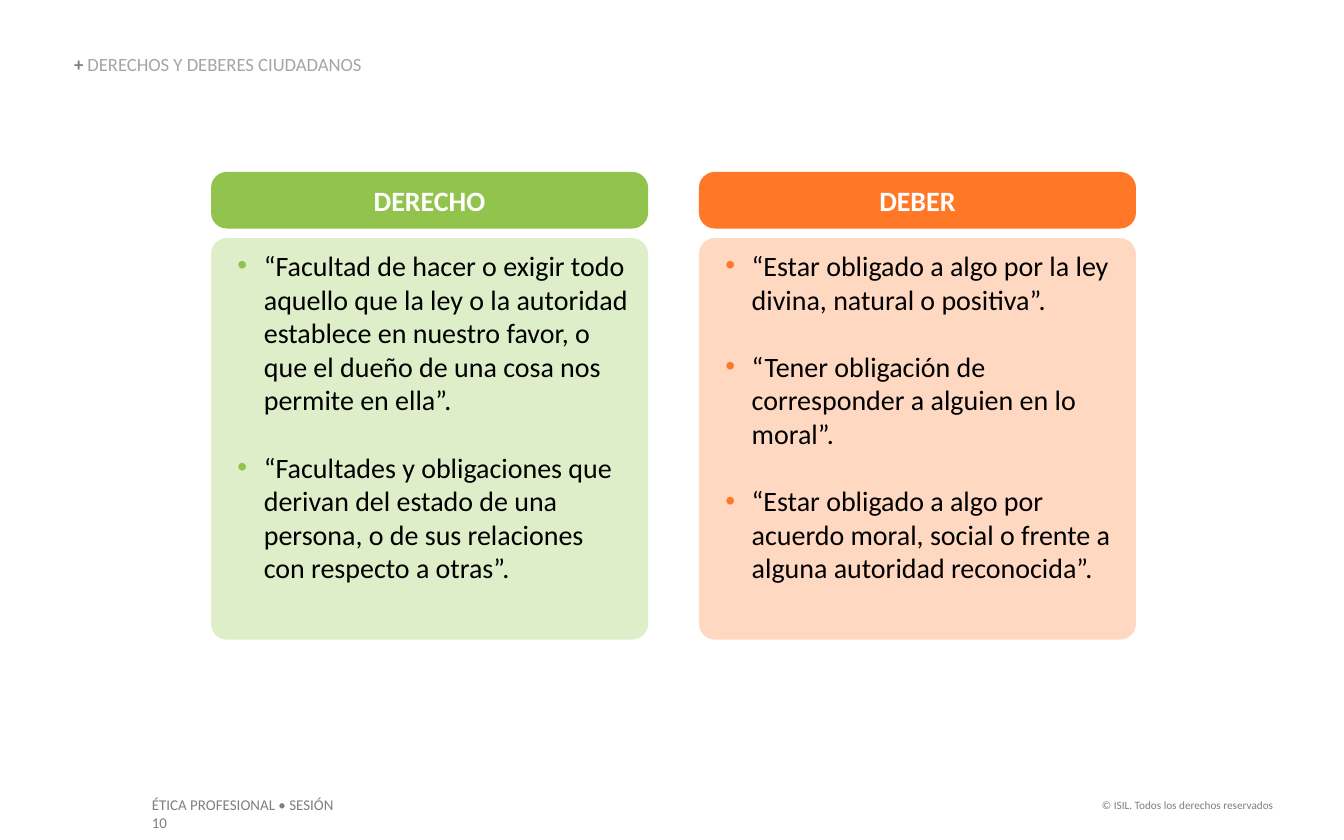
import pptx
import pptx.dml.color
import pptx.enum.shapes
import pptx.enum.text
import pptx.oxml.ns
import pptx.util
from lxml import etree

Cm = pptx.util.Cm
Pt = pptx.util.Pt
RGBColor = pptx.dml.color.RGBColor
ALIGN = pptx.enum.text.PP_ALIGN
ANCHOR = pptx.enum.text.MSO_ANCHOR
qn = pptx.oxml.ns.qn

FONT = "Calibri"
WHITE = RGBColor(0xFF, 0xFF, 0xFF)
BLACK = RGBColor(0, 0, 0)
GRAY = RGBColor(0x7F, 0x7F, 0x7F)
LIGHT_GRAY = RGBColor(0xA5, 0xA5, 0xA5)
GREEN = RGBColor(0x92, 0xC3, 0x4D)
PALE_GREEN = RGBColor(0xDD, 0xEE, 0xC8)
ORANGE = RGBColor(0xFF, 0x78, 0x28)
PALE_ORANGE = RGBColor(0xFF, 0xD8, 0xC2)

COLUMNS = [
    ("DERECHO", GREEN, PALE_GREEN, [
        "“Facultad de hacer o exigir todo aquello que la ley o la autoridad "
        "establece en nuestro favor, o que el dueño de una cosa nos permite en ella”.",
        "“Facultades y obligaciones que derivan del estado de una persona, "
        "o de sus relaciones con respecto a otras”.",
    ]),
    ("DEBER", ORANGE, PALE_ORANGE, [
        "“Estar obligado a algo por la ley divina, natural o positiva”.",
        "“Tener obligación de corresponder a alguien en lo moral”.",
        "“Estar obligado a algo por acuerdo moral, social o frente a "
        "alguna autoridad reconocida”.",
    ]),
]


def format_run(run, size, color, bold=False):
    run.font.name = FONT
    run.font.size = Pt(size)
    run.font.bold = bold
    run.font.color.rgb = color


def set_insets(frame, left, top, right, bottom):
    frame.margin_left = Cm(left)
    frame.margin_top = Cm(top)
    frame.margin_right = Cm(right)
    frame.margin_bottom = Cm(bottom)


def add_text_frame(slide, left, top, width, height):
    box = slide.shapes.add_textbox(Cm(left), Cm(top), Cm(width), Cm(height))
    box.text_frame.word_wrap = True
    return box.text_frame


def add_panel(slide, left, top, width, height, fill, rounding):
    panel = slide.shapes.add_shape(
        pptx.enum.shapes.MSO_SHAPE.ROUNDED_RECTANGLE,
        Cm(left), Cm(top), Cm(width), Cm(height))
    panel.adjustments[0] = rounding
    panel.shadow.inherit = False
    panel.fill.solid()
    panel.fill.fore_color.rgb = fill
    panel.line.fill.background()
    panel.text_frame.word_wrap = True
    return panel.text_frame


def add_bullet(paragraph, color):
    properties = paragraph._p.get_or_add_pPr()
    properties.set("marL", str(Cm(0.5)))
    properties.set("indent", str(-Cm(0.5)))
    bullet_color = etree.SubElement(properties, qn("a:buClr"))
    etree.SubElement(bullet_color, qn("a:srgbClr"), val=str(color))
    etree.SubElement(properties, qn("a:buFont"), typeface="Arial")
    etree.SubElement(properties, qn("a:buChar"), char="•")


def add_heading(slide, left, top, width, height):
    frame = add_text_frame(slide, left, top, width, height)
    set_insets(frame, 0, 0, 0, 0)
    frame.vertical_anchor = ANCHOR.BOTTOM
    paragraph = frame.paragraphs[0]
    paragraph.line_spacing = 0.9
    for text, color, bold in (("+ ", GRAY, True),
                              ("DERECHOS Y DEBERES CIUDADANOS", LIGHT_GRAY, False)):
        run = paragraph.add_run()
        run.text = text
        format_run(run, 10, color, bold)


def add_concept(slide, left, top, width, height, concept):
    title, accent, tint, definitions = concept
    title_height, gap = 1.07, 0.18
    body_offset = title_height + gap

    title_frame = add_panel(slide, left, top, width, title_height, accent, 0.28)
    title_frame.vertical_anchor = ANCHOR.MIDDLE
    title_frame.text = title
    title_paragraph = title_frame.paragraphs[0]
    title_paragraph.alignment = ALIGN.CENTER
    format_run(title_paragraph.runs[0], 15, WHITE, True)

    body_frame = add_panel(slide, left, top + body_offset, width,
                           height - body_offset, tint, 0.04)
    body_frame.vertical_anchor = ANCHOR.TOP
    set_insets(body_frame, 0.41, 0.11, 0.25, 0.13)
    body_frame.text = "\n".join(definitions)
    for index, paragraph in enumerate(body_frame.paragraphs):
        add_bullet(paragraph, accent)
        paragraph.alignment = ALIGN.LEFT
        if index:
            paragraph.space_before = Pt(18)
        format_run(paragraph.runs[0], 15, BLACK)


def add_footer(slide, left, top, width, height):
    course_width, rights_width, rights_drop = 4.42, 3.81, 0.05
    course = add_text_frame(slide, left, top, course_width, height)
    set_insets(course, 0.25, 0.13, 0.42, 0.13)
    course.text = "ÉTICA PROFESIONAL • SESIÓN 10"
    format_run(course.paragraphs[0].runs[0], 8, GRAY)

    rights = add_text_frame(slide, left + width - rights_width, top + rights_drop,
                            rights_width, height - 2 * rights_drop)
    rights.text = "© ISIL. Todos los derechos reservados"
    rights.paragraphs[0].alignment = ALIGN.RIGHT
    format_run(rights.paragraphs[0].runs[0], 6, GRAY)


def main():
    presentation = pptx.Presentation()
    presentation.slide_width = Cm(25.4)
    presentation.slide_height = Cm(15.875)
    slide = presentation.slides.add_slide(presentation.slide_layouts[6])

    add_footer(slide, 2.62, 14.91, 21.69, 0.61)
    add_heading(slide, 1.4, 1.04, 12.85, 0.38)
    column_width, column_gap = 8.26, 0.96
    for index, concept in enumerate(COLUMNS):
        left = 3.99 + index * (column_width + column_gap)
        add_concept(slide, left, 3.25, column_width, 8.84, concept)

    presentation.save("out.pptx")


if __name__ == "__main__":
    main()
